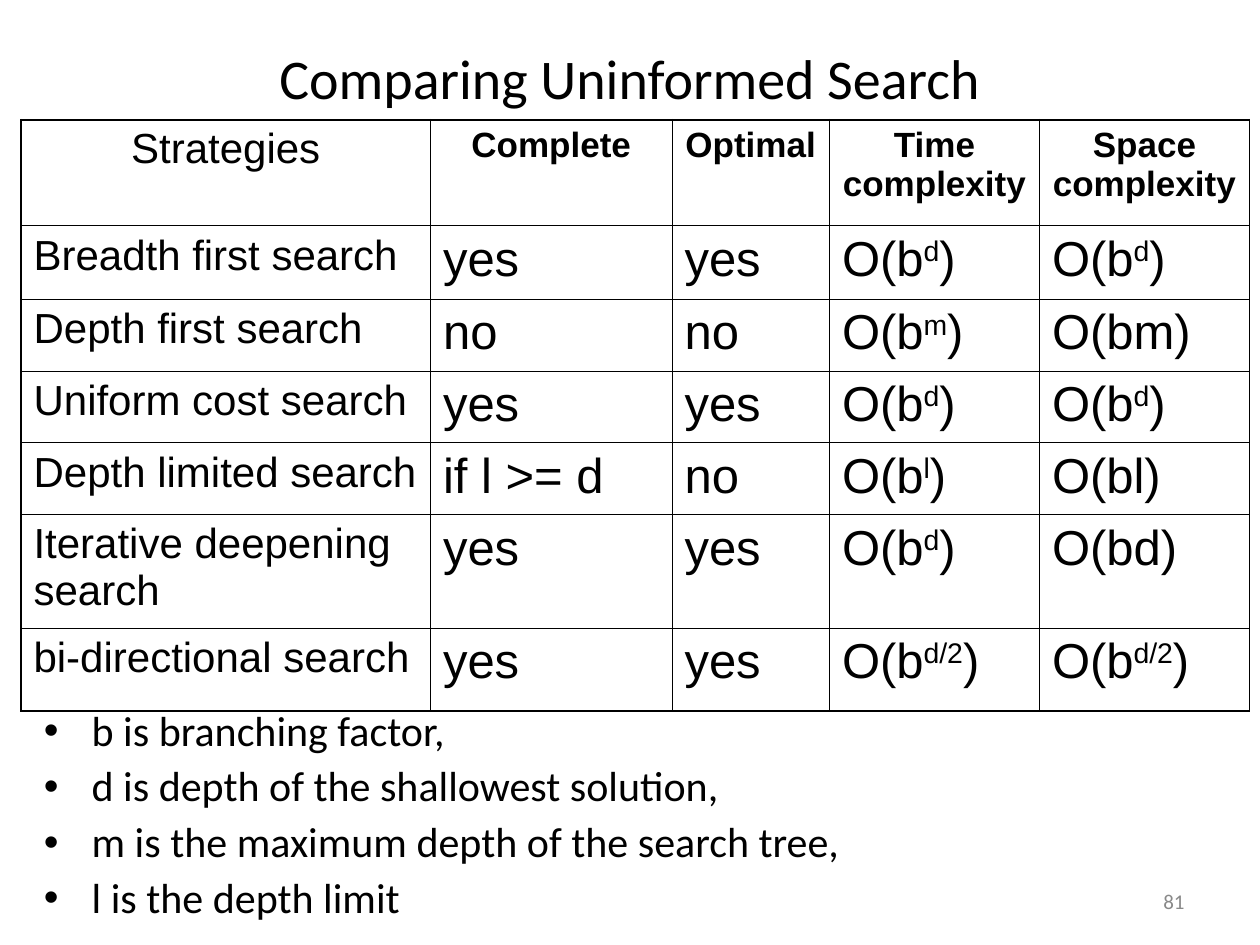
from lxml.etree import SubElement
from pptx import Presentation
from pptx.dml.color import RGBColor
from pptx.enum.text import MSO_ANCHOR, PP_ALIGN
from pptx.oxml.ns import qn
from pptx.util import Inches, Pt

COLORS = {"ink": "000000", "muted": "898989"}
GRID_COLUMNS, GRID_ROWS = 120, 90
THIN, THICK = 0.45, 1.08

TITLE = {"size": 32, "align": PP_ALIGN.CENTER, "anchor": MSO_ANCHOR.MIDDLE}
NOTE = {"size": 24, "line_spacing": 0.9, "bullet": "•"}
NUMBER = {"size": 12, "color": "muted", "align": PP_ALIGN.RIGHT, "anchor": MSO_ANCHOR.MIDDLE}
CORNER = {"size": 24, "name": "Arial", "align": PP_ALIGN.CENTER}
HEADING = CORNER | {"size": 20, "bold": True}
STRATEGY = {"size": 24, "name": "Arial"}
VALUE = {"size": 28, "name": "Arial"}

COLUMN_WIDTHS = [39, 23, 15, 20, 20]
ROW_HEIGHTS = [10.1, 7, 6.84, 6.84, 6.84, 10.8, 7.92]
COMPARISON = [
    ["Strategies", "Complete", "Optimal", "Time complexity", "Space complexity"],
    ["Breadth first search", "yes", "yes", "O(b^d^)", "O(b^d^)"],
    ["Depth first search", "no", "no", "O(b^m^)", "O(bm)"],
    ["Uniform cost search", "yes", "yes", "O(b^d^)", "O(b^d^)"],
    ["Depth limited search", "if l >= d", "no", "O(b^l^)", "O(bl)"],
    ["Iterative deepening search", "yes", "yes", "O(b^d^)", "O(bd)"],
    ["bi-directional search", "yes", "yes", "O(b^d/2^)", "O(b^d/2^)"],
]
SYMBOLS = [
    "b is branching factor,",
    "d is depth of the shallowest solution,",
    "m is the maximum depth of the search tree,",
    "l is the depth limit",
]


class SlideBuilder:
    """Hold the style and the current slide, and add elements on its grid."""

    def __init__(self, deck):
        self.slide = deck.slides.add_slide(deck.slide_layouts[6])
        self.column = deck.slide_width / GRID_COLUMNS
        self.row = deck.slide_height / GRID_ROWS

    def place(self, left, top, width, height):
        """Turn grid units into slide lengths."""
        return (round(left * self.column), round(top * self.row),
                round(width * self.column), round(height * self.row))

    def fill_para(self, para, text, style):
        """Fill a paragraph, raising the parts between carets."""
        if "bullet" in style:
            properties = para._p.get_or_add_pPr()
            properties.set("marL", str(Inches(0.38)))
            properties.set("indent", str(Inches(-0.38)))
            SubElement(properties, qn("a:buFont"), typeface="Arial")
            SubElement(properties, qn("a:buChar"), char=style["bullet"])
        layout = {"alignment": style.get("align", PP_ALIGN.LEFT),
                  "line_spacing": style.get("line_spacing")}
        for key, value in layout.items():
            setattr(para, key, value)
        letters = {"name": style.get("name", "Calibri"), "size": Pt(style["size"]),
                   "bold": style.get("bold", False)}
        for index, part in enumerate(text.split("^")):
            span = para.add_run()
            span.text = part
            for key, value in letters.items():
                setattr(span.font, key, value)
            span.font.color.rgb = RGBColor.from_string(COLORS[style.get("color", "ink")])
            if index % 2:
                span._r.get_or_add_rPr().set("baseline", "30000")

    def text(self, area, lines, style):
        """Add a text box with one paragraph per line."""
        frame = self.slide.shapes.add_textbox(*self.place(*area)).text_frame
        frame.word_wrap = True
        frame.vertical_anchor = style.get("anchor", MSO_ANCHOR.TOP)
        for index, line in enumerate(lines):
            para = frame.add_paragraph() if index else frame.paragraphs[0]
            self.fill_para(para, line, style)
            if index:
                para.space_before = Pt(6)

    def border(self, cell, widths):
        """Draw the four sides of a cell."""
        properties = cell._tc.get_or_add_tcPr()
        for side, width in widths.items():
            line = SubElement(properties, qn(f"a:{side}"), w=str(Pt(width)))
            fill = SubElement(line, qn("a:solidFill"))
            SubElement(fill, qn("a:srgbClr"), val=COLORS["ink"])

    def table(self, left, top, widths, heights, rows):
        """Add a ruled table with a thicker outer frame."""
        area = self.place(left, top, sum(widths), sum(heights))
        table = self.slide.shapes.add_table(len(rows), len(widths), *area).table
        table.first_row = table.horz_banding = False
        for column, width in zip(table.columns, widths):
            column.width = round(width * self.column)
        for y, (row, height) in enumerate(zip(table.rows, heights)):
            row.height = round(height * self.row)
            for x, cell in enumerate(row.cells):
                outer = {"lnL": x == 0, "lnR": x == len(widths) - 1,
                         "lnT": y == 0, "lnB": y == len(rows) - 1}
                self.border(cell, {side: THICK if edge else THIN for side, edge in outer.items()})
                cell.fill.background()
                if y == 0:
                    style = HEADING if x else CORNER
                else:
                    style = VALUE if x else STRATEGY
                self.fill_para(cell.text_frame.paragraphs[0], rows[y][x], style)


def main():
    """Build the comparison slide."""
    deck = Presentation()
    deck.slide_width, deck.slide_height = Inches(10), Inches(7.5)
    page = SlideBuilder(deck)
    page.text((6, 3.6, 108, 7.44), ["Comparing Uninformed Search"], TITLE)
    page.text((3, 67, 114, 22), SYMBOLS, NOTE)
    page.table(2, 11.4, COLUMN_WIDTHS, ROW_HEIGHTS, COMPARISON)
    page.text((86, 83.4, 28, 4.8), ["81"], NUMBER)
    deck.save("out.pptx")


if __name__ == "__main__":
    main()
